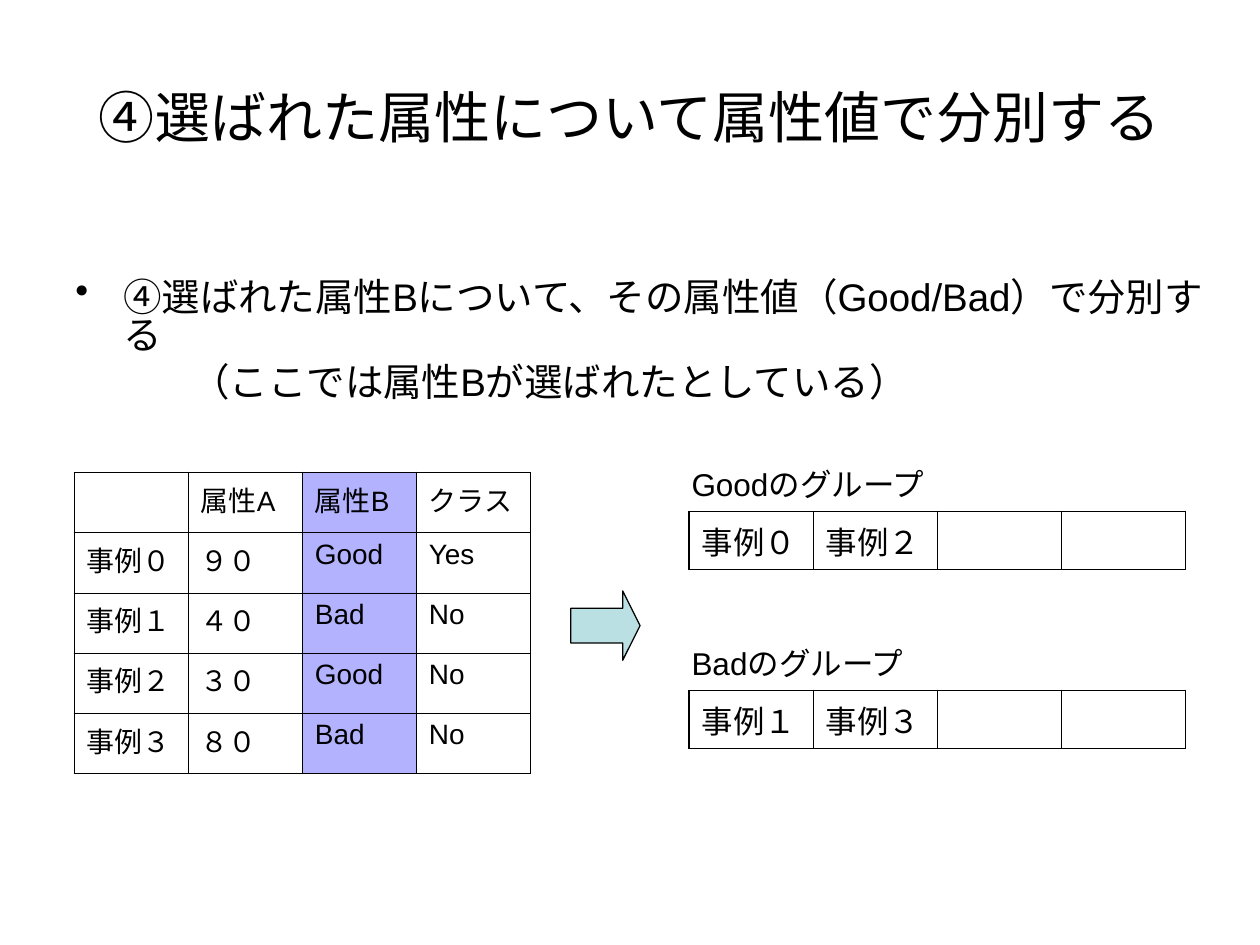
"""Build a slide that splits example cases into groups by an attribute value."""
import lxml.etree
import pptx
import pptx.dml.color
import pptx.enum.shapes
import pptx.enum.text
import pptx.oxml
import pptx.oxml.ns
import pptx.util

Inches = pptx.util.Inches
Pt = pptx.util.Pt
RGB = pptx.dml.color.RGBColor.from_string
ALIGN = pptx.enum.text.PP_ALIGN
ANCHOR = pptx.enum.text.MSO_ANCHOR

THEME = {
    "font": "Arial", "ink": "000000", "highlight": "0000FF", "highlight_alpha": 30,
    "arrow": "BBE0E3", "title": 32, "body": 22, "group": 18, "case": 16,
    "outer_line": 1.08, "inner_line": 0.45, "arrow_line": 0.75,
}

TITLE = "④選ばれた属性について属性値で分別する"
BODY = [
    {"text": "④選ばれた属性Bについて、その属性値（Good/Bad）で分別する",
     "bullet": "•", "margin": 0.38, "indent": -0.38},
    {"text": "（ここでは属性Bが選ばれたとしている）",
     "bullet": None, "margin": 0.92, "indent": 0},
]
CASES = [
    ["", "属性A", "属性B", "クラス"],
    ["事例０", "９０", "Good", "Yes"],
    ["事例１", "４０", "Bad", "No"],
    ["事例２", "３０", "Good", "No"],
    ["事例３", "８０", "Bad", "No"],
]
CHOSEN_COLUMN = 2
GROUPS = [
    ("Goodのグループ", ["事例０", "事例２", "", ""]),
    ("Badのグループ", ["事例１", "事例３", "", ""]),
]
GROUP_TOP, GROUP_PITCH = 3.67, 1.42


def apply(target, values):
    for attribute, value in values.items():
        setattr(target, attribute, value)


def style_font(paragraph, size):
    apply(paragraph.font, {"name": THEME["font"], "size": Pt(THEME[size])})
    paragraph.font.color.rgb = RGB(THEME["ink"])


def add_text(slide, box, texts, size, align=ALIGN.LEFT, anchor=ANCHOR.TOP):
    frame = slide.shapes.add_textbox(*map(Inches, box)).text_frame
    apply(frame, {"word_wrap": True, "vertical_anchor": anchor, "text": "\n".join(texts)})
    for paragraph in frame.paragraphs:
        paragraph.alignment = align
        style_font(paragraph, size)
    return frame.paragraphs


def add_body(slide):
    texts = [point["text"] for point in BODY]
    paragraphs = add_text(slide, (0.5, 2.18, 9.15, 4.52), texts, "body")
    for paragraph, point in zip(paragraphs, BODY):
        apply(paragraph, {"space_before": Pt(5.5), "line_spacing": 0.82})
        properties = paragraph._p.get_or_add_pPr()
        properties.set("marL", str(Inches(point["margin"])))
        properties.set("indent", str(Inches(point["indent"])))
        if point["bullet"]:
            bullet = pptx.oxml.parse_xml(
                f'<a:buChar {pptx.oxml.ns.nsdecls("a")} char="{point["bullet"]}"/>')
            properties.insert_element_before(bullet, "a:tabLst", "a:defRPr", "a:extLst")


def set_borders(cell, outer_sides):
    properties = cell._tc.get_or_add_tcPr()
    for position, side in enumerate("LRTB"):
        width = THEME["outer_line" if side in outer_sides else "inner_line"]
        properties.insert(position, pptx.oxml.parse_xml(
            f'<a:ln{side} {pptx.oxml.ns.nsdecls("a")} w="{Pt(width)}"><a:solidFill>'
            f'<a:srgbClr val="{THEME["ink"]}"/></a:solidFill></a:ln{side}>'))


def highlight(cell):
    cell.fill.solid()
    cell.fill.fore_color.rgb = RGB(THEME["highlight"])
    for color in cell._tc.tcPr.findall("a:solidFill/a:srgbClr", cell._tc.nsmap):
        alpha = lxml.etree.SubElement(color, pptx.oxml.ns.qn("a:alpha"))
        alpha.set("val", str(THEME["highlight_alpha"] * 1000))


def add_grid(slide, box, rows, size, chosen=None):
    row_count, column_count = len(rows), len(rows[0])
    grid = slide.shapes.add_table(row_count, column_count, *map(Inches, box)).table
    apply(grid, {"first_row": False, "horz_banding": False})
    for r, row in enumerate(rows):
        for c, text in enumerate(row):
            cell = grid.cell(r, c)
            cell.text = text
            style_font(cell.text_frame.paragraphs[0], size)
            if c == chosen:
                highlight(cell)
            else:
                cell.fill.background()
            edges = {"L": c == 0, "R": c == column_count - 1,
                     "T": r == 0, "B": r == row_count - 1}
            set_borders(cell, [side for side, outer in edges.items() if outer])


def add_arrow(slide):
    arrow = slide.shapes.add_shape(
        pptx.enum.shapes.MSO_SHAPE.RIGHT_ARROW, *map(Inches, (4.53, 4.69, 0.55, 0.55)))
    arrow.adjustments[0], arrow.adjustments[1] = 0.5, 0.25
    arrow.shadow.inherit = False
    arrow.fill.solid()
    arrow.fill.fore_color.rgb = RGB(THEME["arrow"])
    arrow.line.color.rgb = RGB(THEME["ink"])
    arrow.line.width = Pt(THEME["arrow_line"])


def main():
    deck = pptx.Presentation()
    apply(deck, {"slide_width": Inches(10), "slide_height": Inches(7.5)})
    slide = deck.slides.add_slide(deck.slide_layouts[6])
    add_text(slide, (0.5, 0.3, 9, 1.25), [TITLE], "title", ALIGN.CENTER, ANCHOR.MIDDLE)
    add_body(slide)
    add_grid(slide, (0.59, 3.75, 3.62, 2.39), CASES, "case", CHOSEN_COLUMN)
    for index, (label, members) in enumerate(GROUPS):
        top = GROUP_TOP + index * GROUP_PITCH
        add_grid(slide, (5.47, top + 0.39, 3.94, 0.46), [members], "group")
        add_text(slide, (5.39, top - 0.03, 2.9, 0.46), [label], "group")
    add_arrow(slide)
    deck.save("out.pptx")


if __name__ == "__main__":
    main()
